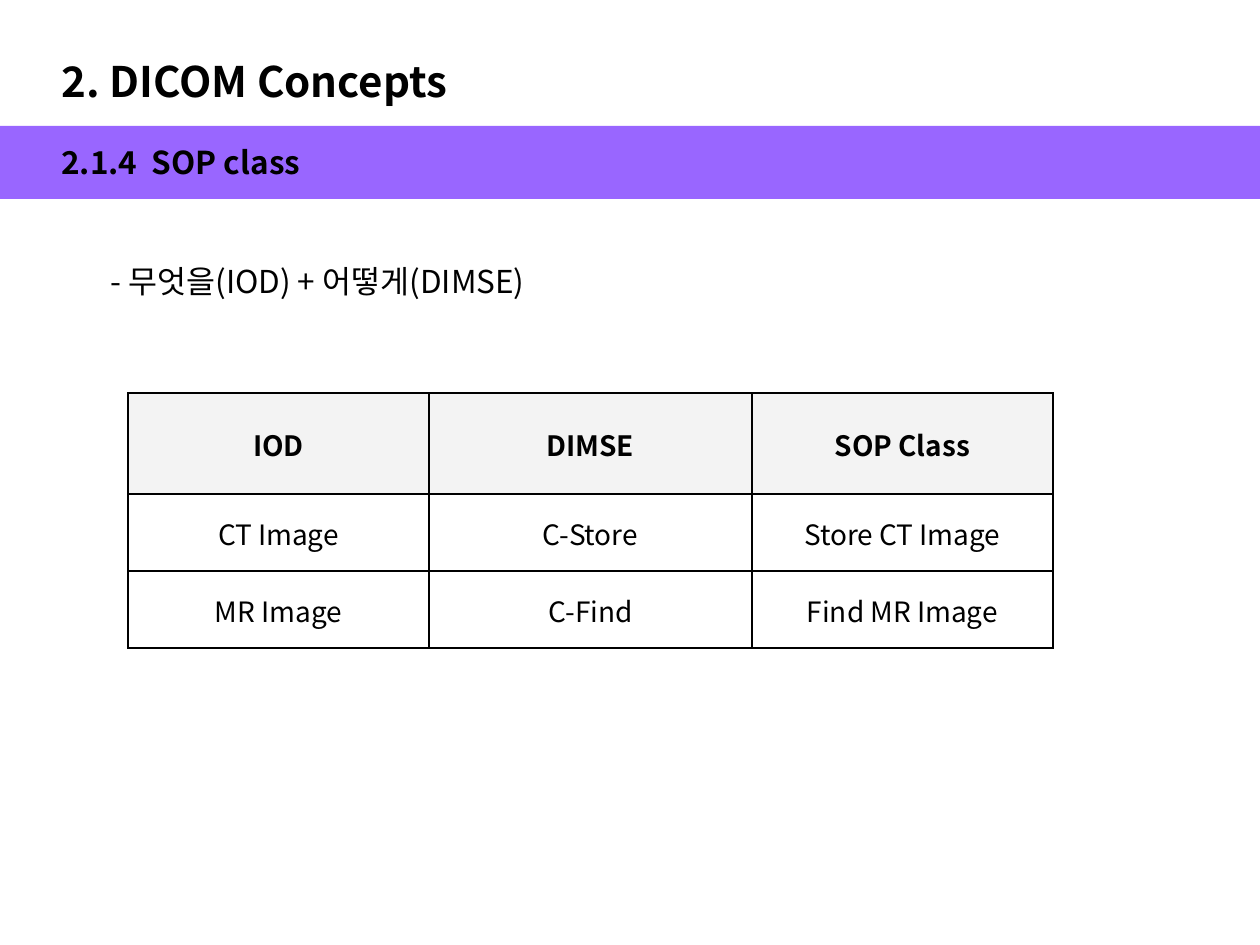
from lxml import etree
from pptx import Presentation
from pptx import util as u
from pptx.dml.color import RGBColor
from pptx.enum import shapes, text
from pptx.oxml import ns

EMU_PER_PX = u.Inches(1) / 126
FONT = "Noto Sans CJK KR"
COLORS = {"text": "000000", "band": "9966FF", "header": "F3F3F3", "border": "000000"}


def px(length):
    return u.Emu(round(length * EMU_PER_PX))


def color(name):
    return RGBColor.from_string(COLORS[name])


def write(frame, content, size=18, bold=False, align=text.PP_ALIGN.LEFT):
    """Put one formatted paragraph into a text frame."""
    para = frame.paragraphs[0]
    para.alignment = align
    span = para.add_run()
    span.text = content
    span.font.name = FONT
    span.font.size = u.Pt(size)
    span.font.bold = bold
    span.font.color.rgb = color("text")
    latin = span.font._element.find(ns.qn("a:latin"))
    east_asian = etree.Element(ns.qn("a:ea"), typeface=FONT)
    latin.addnext(east_asian)


class SlideBuilder:
    def __init__(self, slide):
        self.slide = slide

    def place(self, box, left, top, width, height):
        box.left, box.top, box.width, box.height = map(px, (left, top, width, height))

    def title(self, content, *area, **style):
        box = self.slide.shapes.title
        self.place(box, *area)
        self.fill_frame(box.text_frame, content, wrap=False, **style)

    def text(self, content, *area, **style):
        box = self.slide.shapes.add_textbox(*map(px, area))
        self.fill_frame(box.text_frame, content, **style)

    def fill_frame(self, frame, content, wrap=True, **style):
        frame.word_wrap = wrap
        frame.auto_size = text.MSO_AUTO_SIZE.SHAPE_TO_FIT_TEXT
        frame.vertical_anchor = text.MSO_ANCHOR.TOP
        write(frame, content, **style)

    def band(self, *area):
        box = self.slide.shapes.add_shape(shapes.MSO_SHAPE.RECTANGLE, *map(px, area))
        box.shadow.inherit = False
        box.fill.solid()
        box.fill.fore_color.rgb = color("band")
        box.line.fill.background()

    def table(self, rows, left, top, widths, heights):
        area = map(px, (left, top, sum(widths), sum(heights)))
        table = self.slide.shapes.add_table(len(rows), len(widths), *area).table
        table.horz_banding = False
        for column, width in zip(table.columns, widths):
            column.width = px(width)
        for row, height in zip(table.rows, heights):
            row.height = px(height)
        for r, row in enumerate(rows):
            for c, content in enumerate(row):
                self.cell(table.cell(r, c), content, header=r == 0)

    def cell(self, cell, content, header):
        cell.margin_left = cell.margin_right = cell.margin_top = px(1)
        cell.margin_bottom = 0
        cell.vertical_anchor = text.MSO_ANCHOR.MIDDLE
        write(cell.text_frame, content, size=16, bold=header, align=text.PP_ALIGN.CENTER)
        self.borders(cell)
        if header:
            cell.fill.solid()
            cell.fill.fore_color.rgb = color("header")
        else:
            cell.fill.background()

    def borders(self, cell):
        properties = cell._tc.get_or_add_tcPr()
        for side in ("lnL", "lnR", "lnT", "lnB"):
            line = etree.SubElement(properties, ns.qn(f"a:{side}"), w=str(u.Pt(1)))
            fill = etree.SubElement(line, ns.qn("a:solidFill"))
            etree.SubElement(fill, ns.qn("a:srgbClr"), val=COLORS["border"])


def main():
    deck = Presentation()
    deck.slide_width, deck.slide_height = px(1260), px(945)
    page = SlideBuilder(deck.slides.add_slide(deck.slide_layouts[5]))

    # Headings
    page.band(0, 126, 1260, 73)
    page.title("2. DICOM Concepts", 49, 49, 422, 63, size=24, bold=True)
    page.text("2.1.4  SOP class", 49, 137, 586, 50, bold=True)

    # Definition
    page.text("- 무엇을(IOD) + 어떻게(DIMSE)", 98, 256, 1004, 50)

    # Examples of SOP classes
    rows = [
        ("IOD", "DIMSE", "SOP Class"),
        ("CT Image", "C-Store", "Store CT Image"),
        ("MR Image", "C-Find", "Find MR Image"),
    ]
    page.table(rows, 128, 393, widths=(301, 323, 301), heights=(101, 77, 77))

    deck.save("out.pptx")


if __name__ == "__main__":
    main()
